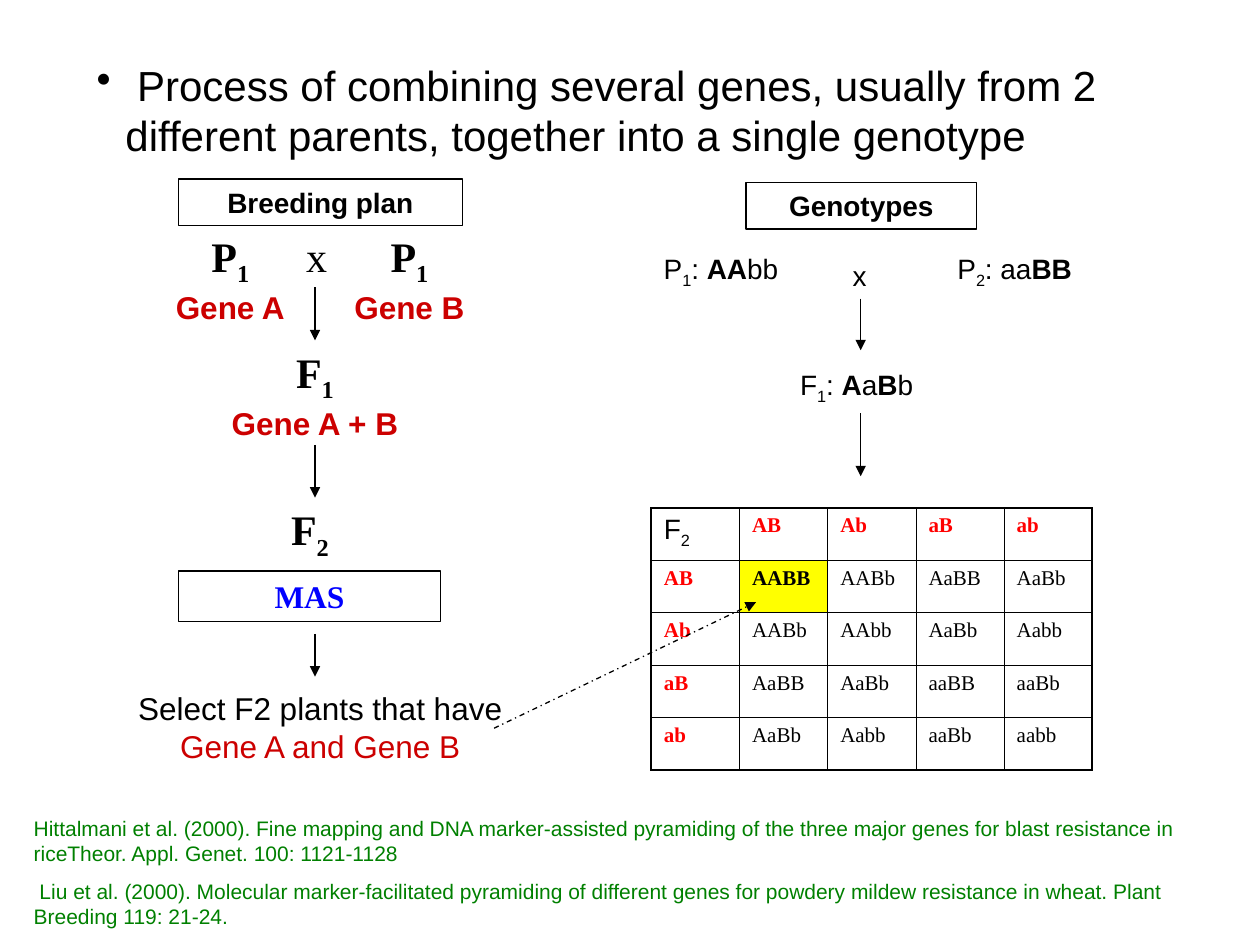
from dataclasses import dataclass

from lxml import etree
from pptx import Presentation
from pptx.dml.color import RGBColor
from pptx.enum.dml import MSO_LINE
from pptx.enum.shapes import MSO_CONNECTOR, MSO_SHAPE
from pptx.enum.text import MSO_ANCHOR, MSO_AUTO_SIZE, PP_ALIGN
from pptx.oxml.ns import qn
from pptx.util import Cm, Pt

LEFT, CENTER = PP_ALIGN.LEFT, PP_ALIGN.CENTER
TOP = MSO_ANCHOR.TOP
GROW = MSO_AUTO_SIZE.SHAPE_TO_FIT_TEXT
RECT = MSO_SHAPE.RECTANGLE
STRAIGHT = MSO_CONNECTOR.STRAIGHT
DASH_DOT = MSO_LINE.DASH_DOT


@dataclass(frozen=True)
class Theme:
    black: str = "000000"
    white: str = "FFFFFF"
    gene: str = "CC0000"
    gamete: str = "FF0000"
    marker: str = "0000FF"
    pick: str = "FFFF00"
    cite: str = "008000"
    sans: str = "Arial"
    serif: str = "Times New Roman"
    big: int = 24
    mid: int = 18
    body: int = 16
    small: int = 12
    line: float = 0.75
    thin: float = 0.45
    thick: float = 1.08


THEME = Theme()
GENE = dict(size=THEME.mid, font=THEME.sans, color=THEME.gene, bold=True)
STAGE = dict(size=THEME.big, font=THEME.serif, bold=True, align=CENTER)


def node(parent, tag, **attrs):
    return etree.SubElement(parent, qn(tag), attrs)


def sub(digit):
    return digit, dict(base=-25)


def strong(words):
    return words, dict(bold=True)


def write(frame, paras, align=LEFT, gap=0, bullet=None, **base):
    """Fill a frame; each paragraph lists runs, as text or (text, format)."""
    for i, runs in enumerate(paras):
        para = frame.paragraphs[0] if i == 0 else frame.add_paragraph()
        para.alignment = align
        if i and gap:
            para.space_before = Pt(gap)
        if bullet:
            props = para._p.get_or_add_pPr()
            props.set("marL", str(Cm(0.58)))
            props.set("indent", str(Cm(-0.58)))
            node(props, "a:buChar", char=bullet)
        for item in runs:
            words, extra = (item, {}) if isinstance(item, str) else item
            style = dict(size=THEME.body, font=THEME.sans, color=THEME.black,
                         bold=False, base=0) | base | extra
            run = para.add_run()
            run.text = words
            run.font.size = Pt(style["size"])
            run.font.name = style["font"]
            run.font.bold = style["bold"]
            run.font.color.rgb = RGBColor.from_string(style["color"])
            if style["base"]:
                run.font._element.set("baseline", str(style["base"] * 1000))


class Page:
    def __init__(self, deck, theme):
        self.theme = theme
        self.shapes = deck.slides.add_slide(deck.slide_layouts[6]).shapes

    def label(self, left, top, width, height, *paras, **style):
        box = self.shapes.add_textbox(Cm(left), Cm(top), Cm(width), Cm(height))
        self.settle(box, paras, style)
        return box

    def settle(self, shape, paras, style):
        frame = shape.text_frame
        frame.word_wrap = True
        frame.auto_size = GROW
        frame.vertical_anchor = TOP
        write(frame, paras, **style)

    def frame(self, left, top, width, height, words, fill=None, **style):
        box = self.shapes.add_shape(RECT, Cm(left), Cm(top), Cm(width), Cm(height))
        box.shadow.inherit = False
        if fill:
            box.fill.solid()
            box.fill.fore_color.rgb = RGBColor.from_string(fill)
        else:
            box.fill.background()
        self.stroke(box.line)
        self.settle(box, [[words]], dict(align=CENTER, bold=True) | style)

    def stroke(self, line):
        line.width = Pt(self.theme.line)
        line.color.rgb = RGBColor.from_string(self.theme.black)

    def arrow(self, x1, y1, x2, y2, dash=None, target=None):
        link = self.shapes.add_connector(STRAIGHT, Cm(x1), Cm(y1), Cm(x2), Cm(y2))
        self.stroke(link.line)
        if dash:
            link.line.dash_style = dash
        if target:
            link.end_connect(target, 0)
        node(link.line._get_or_add_ln(), "a:tailEnd", type="triangle")
        node(link._element.spPr, "a:effectLst")

    def edge(self, cell, side, width):
        line = node(cell._tc.get_or_add_tcPr(), f"a:ln{side}", w=str(Pt(width)))
        node(node(line, "a:solidFill"), "a:srgbClr", val=self.theme.black)

    def cross(self, left, top, width, height, kinds):
        """Draw the square of all crosses between the given gametes."""
        theme = self.theme
        count = len(kinds) + 1
        table = self.shapes.add_table(count, count, Cm(left), Cm(top),
                                      Cm(width), Cm(height)).table
        table.first_row = table.horz_banding = False
        last = count - 1
        heads = [None, *kinds]
        for r, mum in enumerate(heads):
            for c, dad in enumerate(heads):
                cell = table.cell(r, c)
                outer = dict(L=c == 0, R=c == last, T=r == 0, B=r == last)
                for side, out in outer.items():
                    self.edge(cell, side, theme.thick if out else theme.thin)
                picked = r == c == 1
                if picked:
                    cell.fill.solid()
                    cell.fill.fore_color.rgb = RGBColor.from_string(theme.pick)
                else:
                    cell.fill.background()
                style = dict(size=theme.small, font=theme.serif, bold=picked)
                if mum and dad:
                    runs = ["".join("".join(sorted(pair)) for pair in zip(mum, dad))]
                elif mum or dad:
                    runs = [mum or dad]
                    style |= dict(color=theme.gamete, bold=True)
                else:
                    runs, style = ["F", sub("2")], {}
                write(cell.text_frame, [runs], **style)


def plan(page):
    t = page.theme
    mid = 6.35
    page.label(5.08, 10.03, 2.34, 1.42, ["F", sub("2")], **STAGE)
    child = page.label(3.81, 6.86, 5.08, 2.18, ["F", sub("1")],
                       [("Gene A + B", GENE)], **STAGE)
    page.arrow(mid, 5.79, mid, 6.86, target=child)
    page.arrow(mid, 8.97, mid, 10.03)
    for left, gene in ((2.74, "Gene A"), (mid, "Gene B")):
        page.label(left, 4.52, 3.81, 2.18, ["P", sub("1")], [(gene, GENE)], **STAGE)
    page.label(5.92, 4.52, 1.27, 1.27, ["x"], size=t.big, font=t.serif)
    page.frame(3.6, 11.51, 5.28, 1.02, "MAS", fill=t.white,
               size=t.mid, font=t.serif, color=t.marker)
    page.label(2.11, 13.77, 8.69, 1.78,
               ["Select F2 plants that have ", ("Gene A and Gene B", dict(color=t.gene))],
               size=t.mid, align=CENTER)
    page.arrow(mid, 12.78, mid, 13.64)
    page.frame(3.6, 3.61, 5.72, 0.94, "Breeding plan")


def types(page):
    mid = 17.35
    page.frame(15.04, 3.68, 4.65, 0.94, "Genotypes")
    page.label(13.13, 4.95, 3.81, 1.04, ["P", sub("1"), ": ", strong("AA"), "bb"])
    page.label(19.05, 4.95, 3.38, 1.04, ["P", sub("2"), ": aa", strong("BB")])
    page.label(15.88, 7.29, 3.38, 1.04,
               ["F", sub("1"), ": ", strong("A"), "a", strong("B"), "b"])
    page.label(16.94, 5.08, 1.07, 0.94, ["x"])
    page.arrow(mid, 6.02, mid, 7.06)
    page.arrow(mid, 8.33, mid, 9.6)
    page.cross(13.13, 10.24, 8.89, 5.28, ("AB", "Ab", "aB", "ab"))


def main():
    deck = Presentation()
    deck.slide_width, deck.slide_height = Cm(25.4), Cm(19.05)
    page = Page(deck, THEME)
    plan(page)
    types(page)
    page.label(1.7, 1.07, 20.96, 2.29,
               [" Process of combining several genes, usually from 2 "
                "different parents, together into a single genotype"],
               size=THEME.big, bullet="•")
    page.arrow(9.96, 14.68, 15.24, 12.14, dash=DASH_DOT)
    page.label(0.43, 16.31, 24.77, 2.57,
               ["Hittalmani et al. (2000). Fine mapping and DNA marker-assisted "
                "pyramiding of the three major genes for blast resistance in "
                "riceTheor. Appl. Genet. 100: 1121-1128"],
               [" Liu et al. (2000). Molecular marker-facilitated pyramiding of "
                "different genes for powdery mildew resistance in wheat. "
                "Plant Breeding 119: 21-24."],
               size=THEME.small, color=THEME.cite, gap=7.5)
    deck.save("out.pptx")


if __name__ == "__main__":
    main()
